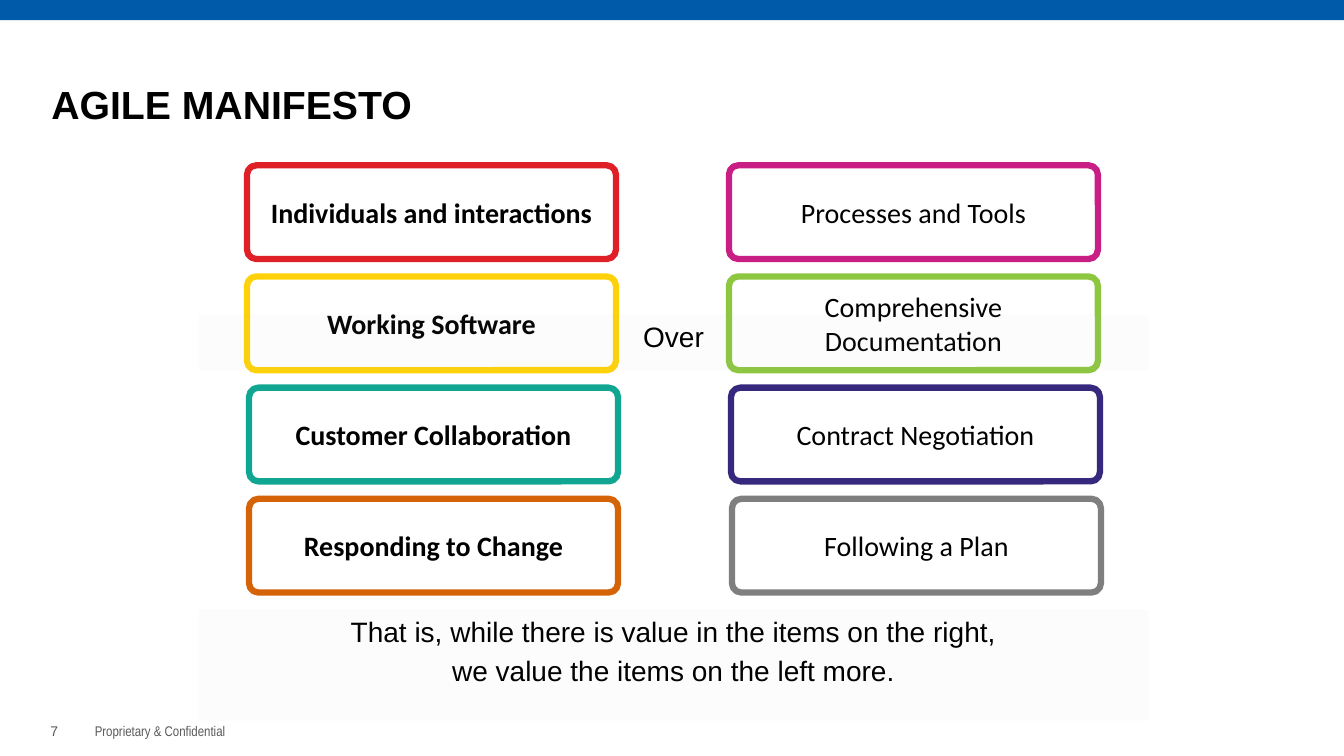
import pptx
import pptx.dml.color
import pptx.enum.shapes
import pptx.enum.text
import pptx.oxml
import pptx.oxml.ns
import pptx.util

Inches = pptx.util.Inches
Pt = pptx.util.Pt
Align = pptx.enum.text.PP_ALIGN
Anchor = pptx.enum.text.MSO_ANCHOR
Preset = pptx.enum.shapes.MSO_SHAPE

COLOURS = {
    "bar": "005AAA", "band": "C0C0C0", "text": "000000", "footer": "595959",
    "red": "DF2027", "yellow": "FED10A", "teal": "11A692", "orange": "D56409",
    "magenta": "C91E84", "green": "8DC63F", "indigo": "36297D", "grey": "7F7F7F",
}


def rgb(name):
    return pptx.dml.color.RGBColor.from_string(COLOURS[name])


def write(shape, text, size=20, font="Arial", colour="text", bold=False,
          align=Align.CENTER, anchor=Anchor.TOP, inset=0.1, line_spacing=None):
    """Fill a shape with text, one paragraph per line."""
    frame = shape.text_frame
    frame.word_wrap = True
    frame.auto_size = pptx.enum.text.MSO_AUTO_SIZE.NONE
    frame.vertical_anchor = anchor
    frame.margin_left = frame.margin_right = Inches(inset)
    frame.margin_top = frame.margin_bottom = Inches(0.05)
    frame.text = text
    for index, para in enumerate(frame.paragraphs):
        para.alignment = align
        para.line_spacing = line_spacing
        para.space_before = Pt(4 if index else 0)
        for span in para.runs:
            span.font.size = Pt(size)
            span.font.name = font
            span.font.bold = bold
            span.font.color.rgb = rgb(colour)


deck = pptx.Presentation()
deck.slide_width = Inches(13.33)
deck.slide_height = Inches(7.5)
page = deck.slides.add_slide(deck.slide_layouts[5])
shapes = page.shapes

# Top bar, page number and footer
bar = shapes.add_shape(Preset.RECTANGLE, 0, 0, deck.slide_width, Inches(0.2))
bar.shadow.inherit = False
bar.fill.solid()
bar.fill.fore_color.rgb = rgb("bar")
bar.line.fill.background()

number = shapes.add_textbox(Inches(0.4), Inches(6.98), Inches(0.49), Inches(0.4))
write(number, "7", size=10, colour="footer", align=Align.LEFT, anchor=Anchor.BOTTOM)
footer = shapes.add_textbox(Inches(0.89), Inches(7.12), Inches(2.48), Inches(0.2))
write(footer, "Proprietary & Confidential", size=10, font="Arial Narrow",
      colour="footer", align=Align.LEFT, inset=0.05)

title = shapes.title
title.left, title.top = Inches(0.51), Inches(0.33)
title.width, title.height = Inches(10.24), Inches(1.45)
write(title, "AGILE MANIFESTO", size=28, bold=True, align=Align.LEFT,
      anchor=Anchor.MIDDLE, inset=0, line_spacing=0.9)

# Value cards: the left column is the one preferred
columns = [
    (True, [
        ("Individuals and interactions", "red", 2.45),
        ("Working Software", "yellow", 2.45),
        ("Customer Collaboration", "teal", 2.47),
        ("Responding to Change", "orange", 2.47),
    ]),
    (False, [
        ("Processes and Tools", "magenta", 7.23),
        ("Comprehensive Documentation", "green", 7.23),
        ("Contract Negotiation", "indigo", 7.25),
        ("Following a Plan", "grey", 7.26),
    ]),
]
for preferred, cards in columns:
    for row, (text, colour, left) in enumerate(cards):
        card = shapes.add_shape(Preset.ROUNDED_RECTANGLE, Inches(left),
                                Inches(1.64 + 1.103 * row), Inches(3.66), Inches(0.93))
        card.adjustments[0] = 0.1
        card.shadow.inherit = False
        card.fill.background()
        card.line.color.rgb = rgb(colour)
        card.line.width = Pt(4.5)
        write(card, text, font="Calibri", bold=preferred, anchor=Anchor.MIDDLE)

# Faint grey bands with the linking words
bands = [
    (3.12, 0.55, "Over"),
    (6.05, 1.1, "That is, while there is value in the items on the right,\n"
                "we value the items on the left more."),
]
for top, height, text in bands:
    band = shapes.add_shape(Preset.RECTANGLE, Inches(1.97), Inches(top),
                            Inches(9.42), Inches(height))
    band.shadow.inherit = False
    band.fill.solid()
    band.fill.fore_color.rgb = rgb("band")
    tint = band.fill._xPr.find(".//" + pptx.oxml.ns.qn("a:srgbClr"))
    tint.append(pptx.oxml.parse_xml(
        f'<a:alpha {pptx.oxml.ns.nsdecls("a")} val="4000"/>'))
    band.line.fill.background()
    write(band, text)

deck.save("out.pptx")
